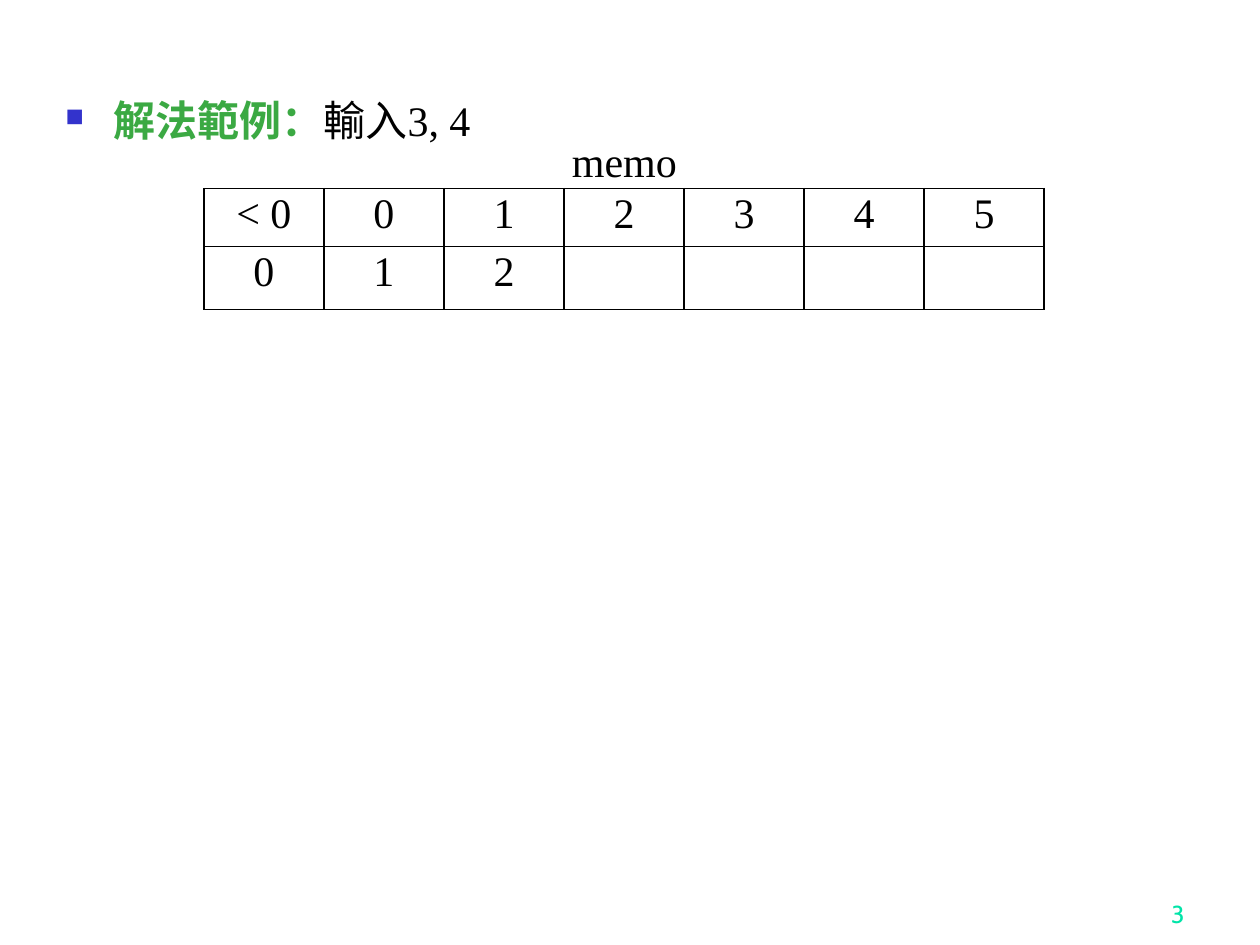
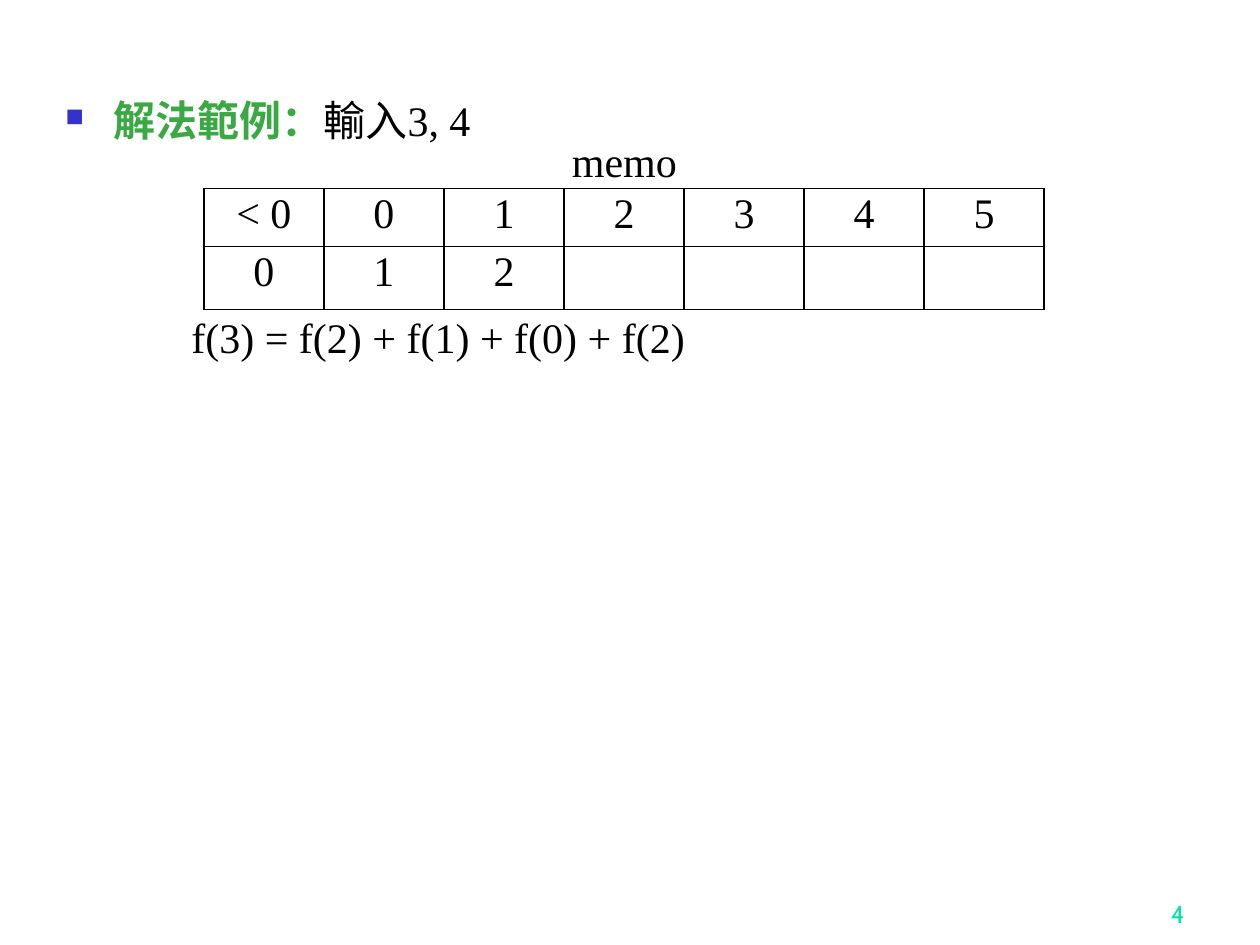
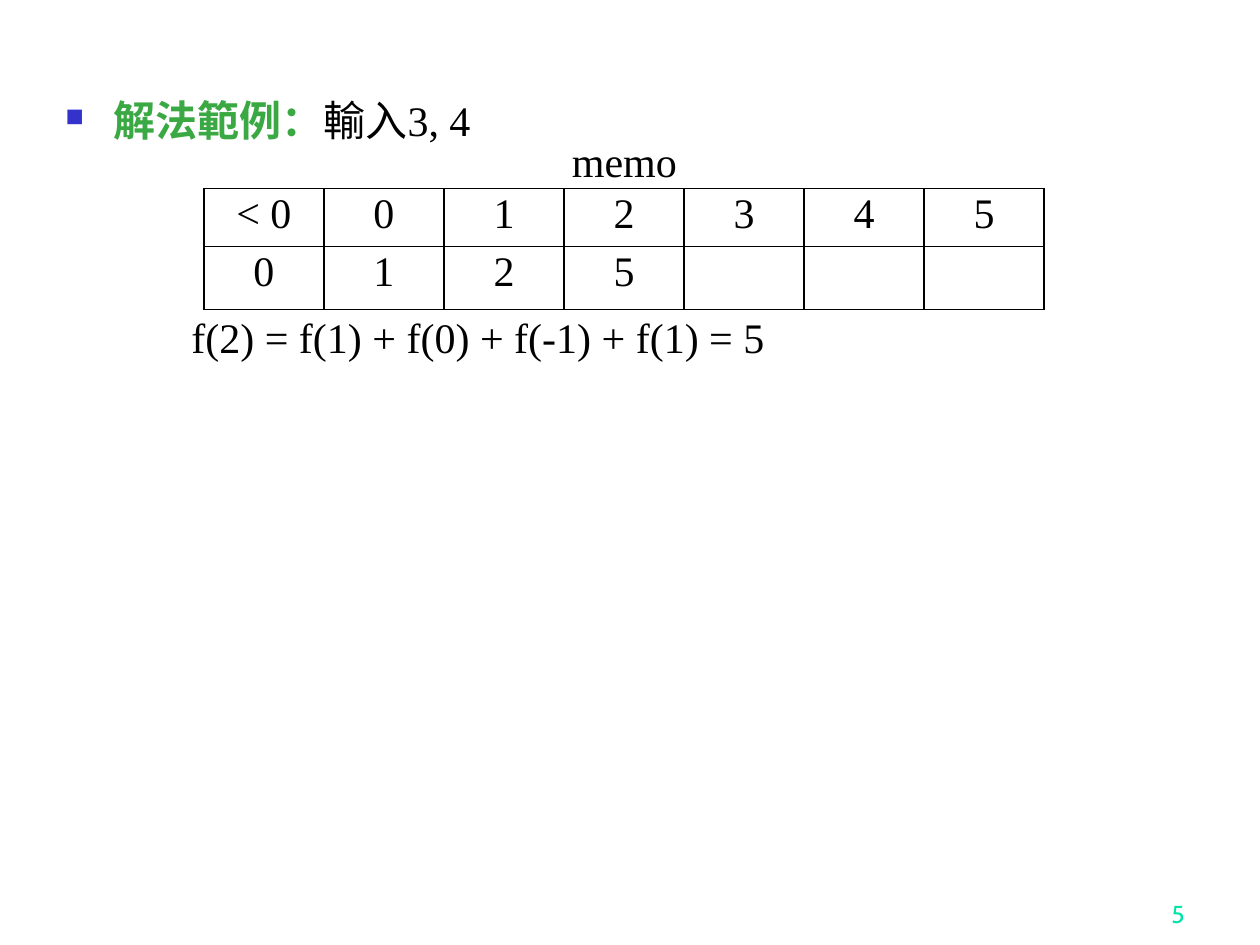
from lxml.etree import SubElement
from pptx import Presentation
from pptx.dml.color import RGBColor
from pptx.enum.text import MSO_ANCHOR, MSO_AUTO_SIZE, PP_ALIGN
from pptx.oxml.ns import qn
from pptx.util import Cm, Pt

SERIF = "Times New Roman"
BLACK, GREEN, BLUE, MINT = "000000", "3BA943", "3333CC", "00E4A8"
BODY_SIZE = 24
LINE_SPACING = 0.9

FIRST_PAGE = 3
COLUMN_WIDTH = 2.42
ROW_HEIGHTS = (1.17, 1.27)
ARGUMENTS = ["< 0", "0", "1", "2", "3", "4", "5"]

# Known values of f and the expansion shown below the table, per slide
STEPS = [
    (["0", "1", "2"], None),
    (["0", "1", "2"], "f(3) = f(2) + f(1) + f(0) + f(2)"),
    (["0", "1", "2", "5"], "f(2) = f(1) + f(0) + f(-1) + f(1) = 5"),
]


def color(value):
    return RGBColor.from_string(value)


def add_span(para, text, shade=BLACK, size=BODY_SIZE, face=SERIF, bold=False):
    span = para.add_run()
    span.text = text
    font = span.font
    font.name, font.size, font.bold = face, Pt(size), bold
    font.color.rgb = color(shade)


def add_box(page, left, top, width, height):
    box = page.shapes.add_textbox(Cm(left), Cm(top), Cm(width), Cm(height))
    box.text_frame.word_wrap = True
    return box.text_frame


def set_indent(para, left, first=0):
    properties = para._p.get_or_add_pPr()
    properties.set("marL", str(Cm(left)))
    properties.set("indent", str(Cm(first)))
    return properties


def add_square_bullet(para):
    properties = set_indent(para, 0.97, -0.97)
    shade = SubElement(properties, qn("a:buClr"))
    SubElement(shade, qn("a:srgbClr"), val=BLUE)
    SubElement(properties, qn("a:buSzPct"), val="60000")
    SubElement(properties, qn("a:buChar"), char="■")


def add_body(page, formula):
    frame = add_box(page, 1.07, 1.9, 22.43, 15.62)
    heading = frame.paragraphs[0]
    add_square_bullet(heading)
    heading.line_spacing = LINE_SPACING
    add_span(heading, "解法範例：", GREEN, bold=True)
    add_span(heading, "輸入3, 4")
    if formula:
        para = frame.add_paragraph()
        set_indent(para, 2.54)
        para.line_spacing = LINE_SPACING
        para.space_before = Pt(98)
        add_span(para, formula)


def add_table_label(page):
    frame = add_box(page, 11.28, 2.72, 2.64, 1.17)
    frame.word_wrap = False
    frame.auto_size = MSO_AUTO_SIZE.SHAPE_TO_FIT_TEXT
    para = frame.paragraphs[0]
    para.line_spacing = LINE_SPACING
    add_span(para, "memo")


def set_borders(cell):
    properties = cell._tc.get_or_add_tcPr()
    for side in ("lnL", "lnR", "lnT", "lnB"):
        line = SubElement(properties, qn(f"a:{side}"), w=str(Pt(1)))
        fill = SubElement(line, qn("a:solidFill"))
        SubElement(fill, qn("a:srgbClr"), val=BLACK)


def add_memo_table(page, values):
    count = len(ARGUMENTS)
    table = page.shapes.add_table(
        2, count, Cm(4.11), Cm(3.8),
        Cm(COLUMN_WIDTH * count), Cm(sum(ROW_HEIGHTS))).table
    table.first_row = table.horz_banding = False
    for column in table.columns:
        column.width = Cm(COLUMN_WIDTH)
    padded = values + [""] * (count - len(values))
    for row, height, texts in zip(table.rows, ROW_HEIGHTS, (ARGUMENTS, padded)):
        row.height = Cm(height)
        for cell, text in zip(row.cells, texts):
            set_borders(cell)
            cell.fill.background()
            para = cell.text_frame.paragraphs[0]
            para.alignment = PP_ALIGN.CENTER
            para.line_spacing = LINE_SPACING
            if text:
                add_span(para, text)


def add_page_number(page, number):
    frame = add_box(page, 18.85, 17.58, 5.28, 1.27)
    frame.vertical_anchor = MSO_ANCHOR.BOTTOM
    para = frame.paragraphs[0]
    para.alignment = PP_ALIGN.RIGHT
    add_span(para, str(number), MINT, size=14, face="Cabin")


def main():
    deck = Presentation()
    deck.slide_width, deck.slide_height = Cm(25.4), Cm(19.05)
    blank = deck.slide_layouts[6]
    for number, (values, formula) in enumerate(STEPS, FIRST_PAGE):
        page = deck.slides.add_slide(blank)
        add_page_number(page, number)
        add_body(page, formula)
        add_table_label(page)
        add_memo_table(page, values)
    deck.save("out.pptx")


if __name__ == "__main__":
    main()
